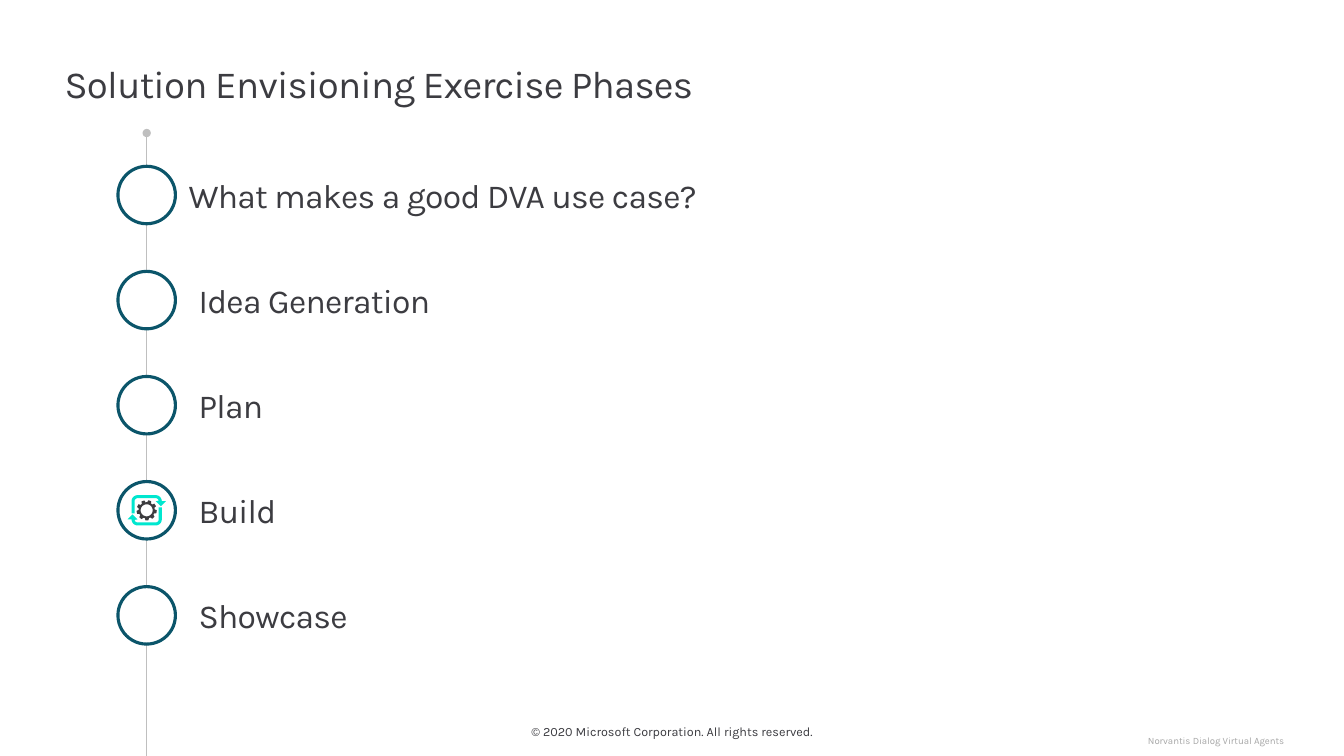
from math import cos, pi, radians, sin

from lxml.etree import SubElement
from pptx import Presentation
from pptx.dml.color import RGBColor
from pptx.enum.shapes import MSO_CONNECTOR, MSO_SHAPE
from pptx.enum.text import MSO_ANCHOR, MSO_AUTO_SIZE, PP_ALIGN
from pptx.oxml.ns import qn
from pptx.util import Inches, Pt

WIDTH, HEIGHT = 13.33, 7.5
INK, TEAL, MINT, GEAR, RULE, PALE = "3C3C41", "0B556A", "00E7CF", "3D3D40", "BFBFBF", "A6A6A6"
BUILD = "Build"
PHASES = ["What makes a good DVA use case?", "Idea Generation", "Plan", BUILD, "Showcase"]
CIRCLE = 0.57
PITCH = 4.17 / 4
LABEL_HEIGHT = 0.46


def color(value):
    return RGBColor.from_string(value)


def write(shape, text, size, ink=INK, align=PP_ALIGN.LEFT, anchor=MSO_ANCHOR.MIDDLE,
          insets=(0, 0, 0, 0), spacing=None):
    frame = shape.text_frame
    frame.word_wrap = True
    frame.auto_size = MSO_AUTO_SIZE.NONE
    frame.vertical_anchor = anchor
    frame.margin_left, frame.margin_top, frame.margin_right, frame.margin_bottom = map(Inches, insets)
    paragraph = frame.paragraphs[0]
    paragraph.alignment = align
    paragraph.space_before = Pt(0)
    run = paragraph.add_run()
    run.text = text
    run.font.name = "Karla"
    run.font.size = Pt(size)
    run.font.color.rgb = color(ink)
    if spacing:
        run.font._element.set("spc", str(int(spacing * 100)))


def add_text(slide, box, text, size, **options):
    write(slide.shapes.add_textbox(*map(Inches, box)), text, size, **options)


def add_title(slide, box):
    title = slide.shapes.title
    title.left, title.top, title.width, title.height = map(Inches, box)
    write(title, "Solution Envisioning Exercise Phases", 27.4, anchor=MSO_ANCHOR.TOP,
          insets=(0, 0.1, 0.16, 0.1), spacing=-0.5)


def add_timeline(slide, x, top, bottom):
    line = slide.shapes.add_connector(MSO_CONNECTOR.STRAIGHT, *map(Inches, (x, top, x, bottom)))
    line.line.color.rgb = color(RULE)
    line.line.width = Pt(0.75)
    SubElement(line.line._get_or_add_ln(), qn("a:headEnd"), type="oval")
    SubElement(line._element.spPr, qn("a:effectLst"))


def arc(center_x, center_y, radius, start, end, steps=8):
    angles = [radians(start + (end - start) * step / steps) for step in range(steps + 1)]
    return [(center_x + radius * cos(angle), center_y + radius * sin(angle)) for angle in angles]


def add_outline(slide, center, contours, fill):
    placed = [[(Inches(center[0] + x), Inches(center[1] + y)) for x, y in contour]
              for contour in contours]
    builder = slide.shapes.build_freeform(*placed[0][0])
    builder.add_line_segments(placed[0][1:], close=True)
    for contour in placed[1:]:
        builder.move_to(*contour[0])
        builder.add_line_segments(contour[1:], close=True)
    shape = builder.convert_to_shape()
    shape.shadow.inherit = False
    shape.fill.solid()
    shape.fill.fore_color.rgb = color(fill)
    shape.line.fill.background()


def add_build_icon(slide, center):
    arrow = (arc(-0.09, -0.09, 0.03, 180, 270) + arc(0.09, -0.09, 0.03, 270, 350)
             + [(0.09, -0.09), (0.14, -0.04), (0.19, -0.09)]
             + arc(0.09, -0.09, 0.06, 360, 270) + arc(-0.09, -0.09, 0.06, 270, 180)
             + [(-0.15, 0.03), (-0.12, 0.03)])
    for sign in (1, -1):
        add_outline(slide, center, [[(sign * x, sign * y) for x, y in arrow]], MINT)
    teeth = 9
    rim = []
    for tooth in range(teeth):
        middle = -32 + tooth * 360 / teeth
        rim += arc(0, 0, 0.1, middle - 9, middle + 9, 3)
        rim += arc(0, 0, 0.08, middle + 14, middle + 26, 3)
    add_outline(slide, center, [rim, arc(0, 0, 0.06, 360, 0, 32)], GEAR)


def add_phase(slide, x, y, label, indent):
    add_text(slide, (x + indent, y + (CIRCLE - LABEL_HEIGHT) / 2, 11, LABEL_HEIGHT),
             label, 24, spacing=-0.5)
    circle = slide.shapes.add_shape(MSO_SHAPE.OVAL, *map(Inches, (x, y, CIRCLE, CIRCLE)))
    circle.shadow.inherit = False
    circle.fill.solid()
    circle.fill.fore_color.rgb = color("FFFFFF")
    circle.line.color.rgb = color(TEAL)
    circle.line.width = Pt(2.25)
    if label == BUILD:
        add_build_icon(slide, (x + CIRCLE / 2, y + CIRCLE / 2))


def add_phases(slide, left, top):
    add_timeline(slide, left + CIRCLE / 2, top - 0.33, HEIGHT)
    for row, label in enumerate(PHASES):
        add_phase(slide, left, top + row * PITCH, label, 0.8 if row else 0.7)


def add_footer(slide):
    add_text(slide, (4.6, 7.13, 4.13, 0.25), "© 2020 Microsoft Corporation. All rights reserved.",
             9, align=PP_ALIGN.CENTER)
    add_text(slide, (10.24, 7.28, 2.5, 0.13), "Norvantis Dialog Virtual Agents", 6.9,
             ink=PALE, align=PP_ALIGN.RIGHT)


def main():
    presentation = Presentation()
    presentation.slide_width, presentation.slide_height = Inches(WIDTH), Inches(HEIGHT)
    slide = presentation.slides.add_slide(presentation.slide_layouts[5])
    add_title(slide, (0.64, 0.5, 8.21, 1.21))
    add_phases(slide, 1.17, 1.65)
    add_footer(slide)
    presentation.save("out.pptx")


if __name__ == "__main__":
    main()
